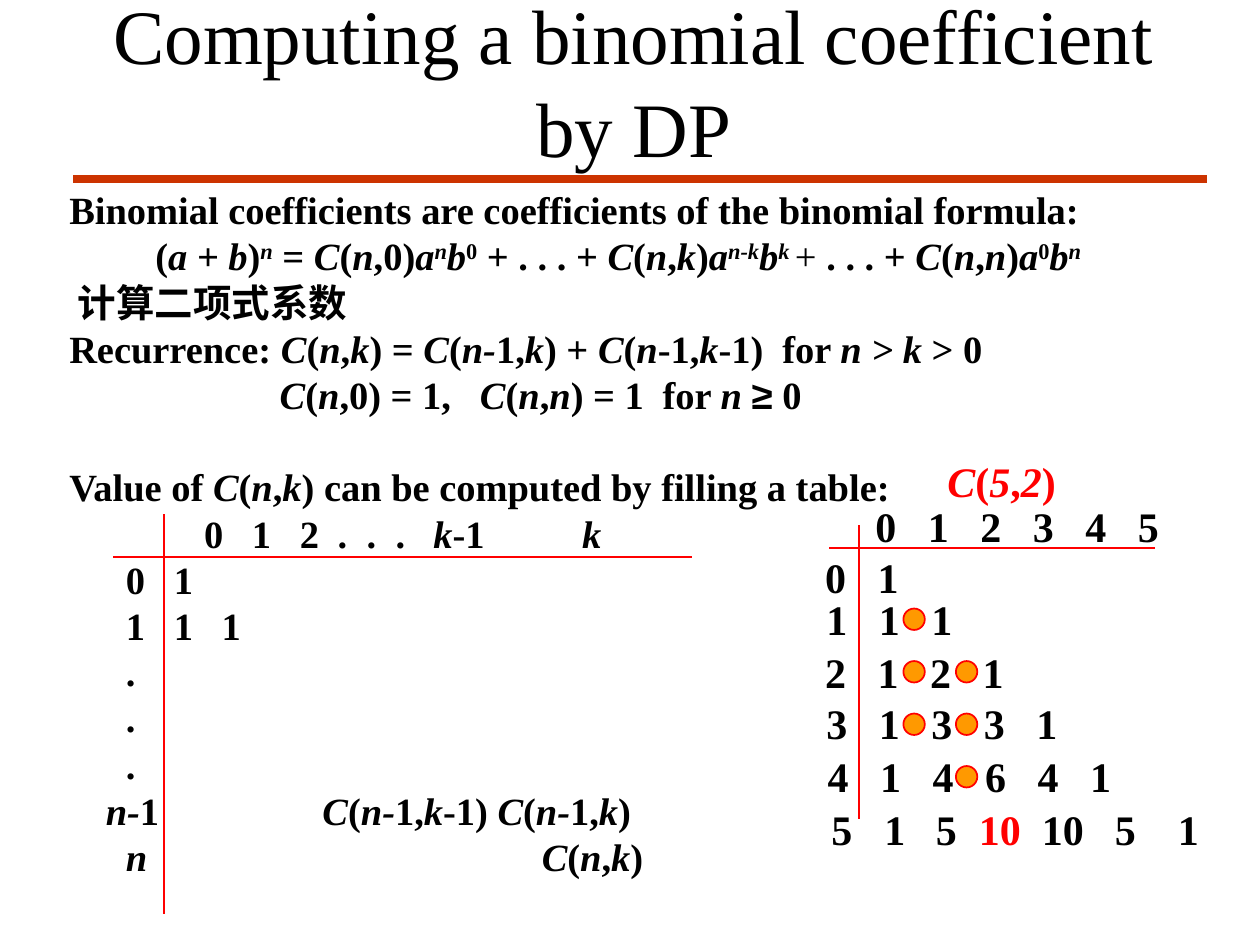
from lxml import etree
from pptx import Presentation
from pptx.dml.color import RGBColor
from pptx.enum import shapes, text
from pptx.oxml.ns import qn
from pptx.util import Inches, Pt

BLACK = RGBColor(0x00, 0x00, 0x00)
RED = RGBColor(0xFF, 0x00, 0x00)
RUST = RGBColor(0xCC, 0x33, 0x00)
ORANGE = RGBColor(0xFF, 0x99, 0x00)

SERIF = "Times New Roman"
MARKS = "*^!%@"  # italic, superscript, red, not bold, Arial
STEP = 5 / 12  # pitch of the C(5,2) grid, in inches

LABEL, COLUMN = 0.45, 0.38
HEADINGS = [1.07, 1.45, 1.83, 2.13, 2.36, 2.59, 2.89, 4.07]
CELLS = [LABEL, LABEL + COLUMN, LABEL + 2 * COLUMN]

# Marked-up text, tab stops in inches
BODY = [
    ("Binomial coefficients are coefficients of the binomial formula:", []),
    ("(*a + b*)^*n*^ = *C*(*n*,0)*a^n^b*^0^ + . . . + *C*(*n*,*k*)*a^n-k^b^k ^*"
     "%+ %. . . + *C*(*n*,*n*)*a*^0^*b^n^*", []),
    (" 计算二项式系数", []),
    ("Recurrence: *C*(*n*,*k*) = *C*(*n-*1,*k*) + *C*(*n*-1,*k*-1)\tfor *n > k *> 0", [5.66]),
    ("\t*C*(*n*,0) = 1,\t*C*(*n*,*n*) = 1\tfor *n *@≥@ 0", [1.67, 3.26, 4.71]),
    ("Value of *C*(*n*,*k*) can be computed by filling a table:", []),
    ("\t0\t1\t2\t.\t.\t.\t*k*-1\t*k*", HEADINGS),
    ("\t0\t1", CELLS),
    ("\t1\t1\t1", CELLS),
    ("\t.", CELLS),
    ("\t.", CELLS),
    ("\t.", CELLS),
    ("\t*n-*1\t*C*(*n-*1,*k*-1) *C*(*n-*1,*k*)", [0.29, 2.01]),
    ("\t*n*\t*C*(*n*,*k*)", [LABEL, 3.75]),
]
FORMULA, VALUE_OF = 1, 5

# Left, top, width, text of each row of the C(5,2) grid
GRID_ROWS = [
    (6.85, 3.92, 2.53, "0\t1\t2\t3\t4\t5"),
    (6.45, 4.33, 0.78, "0\t1"),
    (6.46, 4.66, 1.20, "1\t1\t1"),
    (6.45, 5.08, 1.61, "2\t1\t2\t1"),
    (6.46, 5.49, 2.03, "3\t1\t3\t3\t1"),
    (6.47, 5.91, 2.70, "4\t1\t4\t6\t4\t1"),
    (6.50, 6.33, 3.11, "5\t1\t5\t!10!\t10\t5\t1"),
]
GRID_STOPS = [STEP * n for n in range(1, 6)]
LAST_ROW_STOPS = [0.42, 0.83, 1.17, 1.67, 2.25, 2.75]
DOTS = [(0, 0), (0, 1), (1, 1), (0, 2), (1, 2), (1, 3)]  # column, row


def add_spans(para, marked):
    """Add runs; each character of MARKS switches its style on or off."""
    active = set()

    def flush(piece):
        if not piece:
            return
        span = para.add_run()
        span.text = piece
        if "*" in active:
            span.font.italic = True
        if "^" in active:
            span.font._element.set("baseline", "30000")
        if "!" in active:
            span.font.color.rgb = RED
        if "%" in active:
            span.font.bold = False
        if "@" in active:
            span.font.name = "Arial"

    piece = ""
    for letter in marked:
        if letter in MARKS:
            flush(piece)
            piece = ""
            active ^= {letter}
        else:
            piece += letter
    flush(piece)


def write(para, marked, size, stops=(), bold=True):
    if stops:
        tabs = etree.SubElement(para._p.get_or_add_pPr(), qn("a:tabLst"))
        for stop in stops:
            etree.SubElement(tabs, qn("a:tab"), pos=str(int(Inches(stop))), algn="l")
    para.line_spacing = Pt(1.2 * size)
    para.font.name, para.font.size, para.font.bold = SERIF, Pt(size), bold
    para.font.color.rgb = BLACK
    add_spans(para, marked)


def add_frame(page, left, top, width, height):
    box = page.shapes.add_textbox(Inches(left), Inches(top), Inches(width), Inches(height))
    box.text_frame.word_wrap = True
    return box.text_frame


def add_line(page, x1, y1, x2, y2, color=RED, weight=1):
    line = page.shapes.add_connector(
        shapes.MSO_CONNECTOR.STRAIGHT, Inches(x1), Inches(y1), Inches(x2), Inches(y2))
    line.line.color.rgb = color
    line.line.width = Pt(weight)
    etree.SubElement(line._element.spPr, qn("a:effectLst"))


def add_title(page, left, top, width, height):
    add_line(page, 0.58, 1.42, 9.58, 1.42, RUST, 4.5)
    frame = add_frame(page, left, top, width, height)
    frame.vertical_anchor = text.MSO_ANCHOR.MIDDLE
    para = frame.paragraphs[0]
    para.alignment = text.PP_ALIGN.CENTER
    write(para, "Computing a binomial coefficient by DP", 44, bold=False)


def add_body(page, left, top, width, height):
    frame = add_frame(page, left, top, width, height)
    frame.margin_left = Inches(0.23)
    for number, (marked, stops) in enumerate(BODY):
        para = frame.add_paragraph() if number else frame.paragraphs[0]
        write(para, marked, 22, stops)
        if number == FORMULA:
            para.alignment = text.PP_ALIGN.CENTER
        if number == VALUE_OF:
            para.space_before = Pt(26.4)
    add_line(page, left + 0.58, top + 2.99, left + 5.17, top + 2.99)
    add_line(page, left + 0.98, top + 2.65, left + 0.98, top + 5.82)


def add_dot(page, left, top, size=0.17):
    dot = page.shapes.add_shape(
        shapes.MSO_SHAPE.FLOWCHART_CONNECTOR,
        Inches(left), Inches(top), Inches(size), Inches(size))
    dot.shadow.inherit = False
    dot.fill.solid()
    dot.fill.fore_color.rgb = ORANGE
    dot.line.color.rgb = RED
    dot.line.width = Pt(1)


def add_example(page, left, top):
    """Worked table for C(5,2); left and top are the corner of its rules."""
    add_line(page, left, top + 0.18, left + 2.59, top + 0.18)
    add_line(page, left + 0.24, top, left + 0.24, top + 2.33)
    for row_left, row_top, width, marked in GRID_ROWS:
        frame = add_frame(page, row_left, row_top, width, 0.5)
        frame.margin_right = 0
        stops = LAST_ROW_STOPS if "!" in marked else GRID_STOPS
        write(frame.paragraphs[0], marked, 24, stops)
    caption = add_frame(page, left + 0.8, top - 0.6, 1.14, 0.5).paragraphs[0]
    caption.alignment = text.PP_ALIGN.CENTER
    write(caption, "!*C*(*5*,*2*) !", 24)
    for column, row in DOTS:
        add_dot(page, left + 0.59 + STEP * column, top + 0.66 + STEP * row)


def main():
    deck = Presentation()
    deck.slide_width, deck.slide_height = Inches(10), Inches(7.5)
    page = deck.slides.add_slide(deck.slide_layouts[6])
    add_title(page, 0.78, 0.01, 8.5, 1.25)
    add_body(page, 0.32, 1.43, 9.04, 5.6)
    add_example(page, 6.58, 4.17)
    deck.save("out.pptx")


if __name__ == "__main__":
    main()
